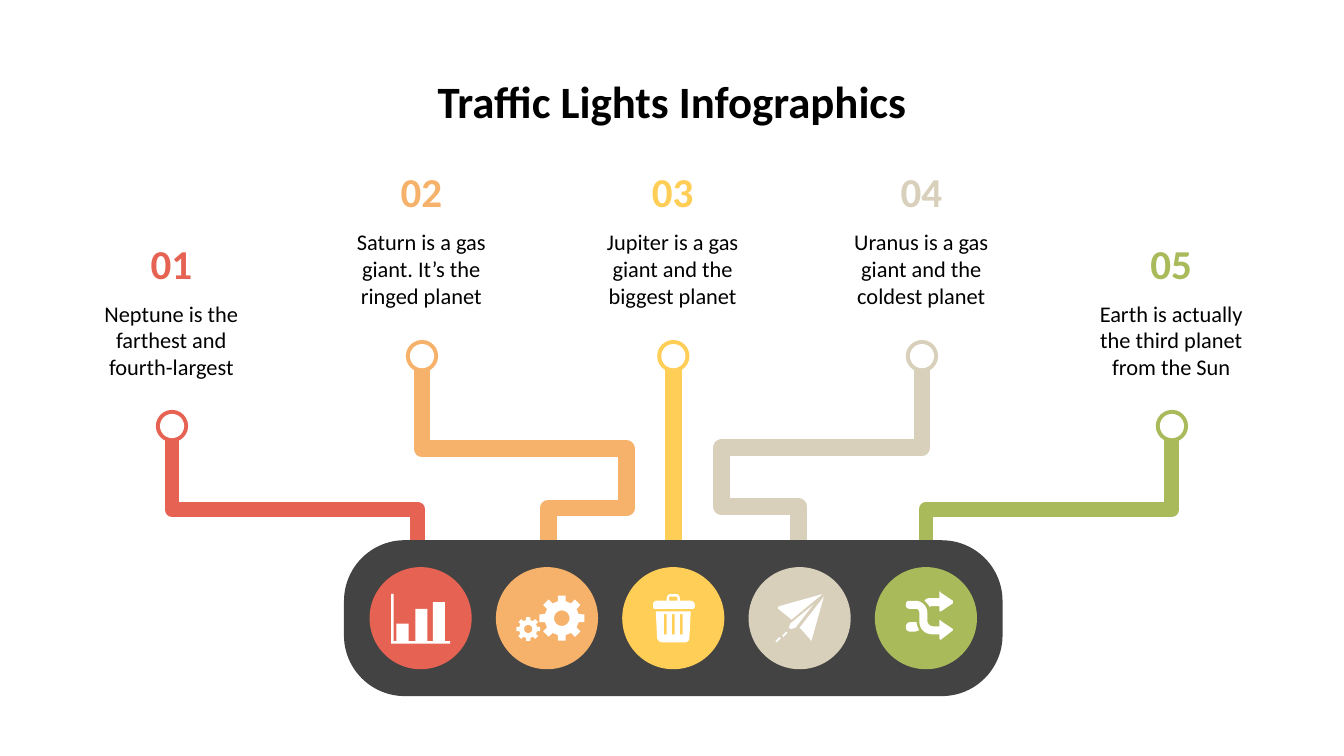
from dataclasses import dataclass
from math import cos, pi, sin

from lxml.etree import SubElement
from pptx import Presentation
from pptx.dml.color import RGBColor
from pptx.enum.shapes import MSO_CONNECTOR, MSO_SHAPE
from pptx.enum.text import MSO_ANCHOR, PP_ALIGN
from pptx.oxml.ns import qn
from pptx.util import Emu, Pt

PX = 9144  # one px is a hundredth of an inch
FONT = "Calibri"
COLORS = {
    "red": "E66353", "orange": "F6B26B", "yellow": "FFCE56", "sand": "D8D0BB",
    "green": "A9BA5A", "panel": "434343", "white": "FFFFFF", "black": "000000",
}

# A contour holds points (x, y) and cubic curves (x1, y1, x2, y2, x, y).
Contour = list[tuple[float, ...]]


@dataclass(frozen=True)
class Signal:
    number: str
    body: str
    color: str
    x: int
    number_top: int
    ring_y: int
    bends: tuple[tuple[int, int], ...]  # empty for a straight pipe
    pipe_pt: int = 9


SIGNALS = [
    Signal("01", "Neptune is the farthest and fourth-largest", "red", 128, 178, 317,
           ((128, 379), (311, 379), (311, 422)), 8),
    Signal("02", "Saturn is a gas giant. It’s the ringed planet", "orange", 314, 125, 265,
           ((314, 334), (466, 334), (466, 378), (408, 378), (408, 410))),
    Signal("03", "Jupiter is a gas giant and the biggest planet", "yellow", 501, 125, 265, ()),
    Signal("04", "Uranus is a gas giant and the coldest planet", "sand", 686, 125, 265,
           ((686, 333), (537, 333), (537, 377), (594, 377), (594, 410))),
    Signal("05", "Earth is actually the third planet from the Sun", "green", 872, 178, 317,
           ((872, 379), (689, 379), (689, 422)), 8),
]


def px(length: float) -> Emu:
    return Emu(round(length * PX))


def rgb(color: str) -> RGBColor:
    return RGBColor.from_string(COLORS[color])


def paint(shape, color: str) -> None:
    shape.shadow.inherit = False
    shape.fill.solid()
    shape.fill.fore_color.rgb = rgb(color)
    shape.line.fill.background()


def add_preset(kind: MSO_SHAPE, x: int, y: int, w: int, h: int, color: str):
    shape = slide.shapes.add_shape(kind, px(x), px(y), px(w), px(h))
    paint(shape, color)
    return shape


def add_disc(x: int, y: int, radius: int, color: str) -> None:
    add_preset(MSO_SHAPE.OVAL, x - radius, y - radius, 2 * radius, 2 * radius, color)


def add_text(text: str, x: int, y: int, w: int, h: int, size: int, color: str,
             bold: bool = False, anchor: MSO_ANCHOR = MSO_ANCHOR.TOP) -> None:
    frame = slide.shapes.add_textbox(px(x), px(y), px(w), px(h)).text_frame
    frame.word_wrap = True
    frame.vertical_anchor = anchor
    frame.margin_left = frame.margin_right = frame.margin_top = frame.margin_bottom = px(10)
    paragraph = frame.paragraphs[0]
    paragraph.text = text
    paragraph.alignment = PP_ALIGN.CENTER
    font = paragraph.font
    font.name, font.size, font.bold = FONT, Pt(size), bold
    font.color.rgb = rgb(color)


def flatten(contour: Contour, steps: int = 8) -> list[tuple[Emu, Emu]]:
    """Turn the curves of a contour into short straight steps."""
    points: Contour = []
    for part in contour:
        if len(part) == 2:
            points.append(part)
            continue
        x0, y0 = points[-1]
        x1, y1, x2, y2, x3, y3 = part
        for step in range(1, steps + 1):
            t = step / steps
            a, b, c, d = (1 - t) ** 3, 3 * t * (1 - t) ** 2, 3 * t * t * (1 - t), t ** 3
            points.append((a * x0 + b * x1 + c * x2 + d * x3,
                           a * y0 + b * y1 + c * y2 + d * y3))
    return [(px(x), px(y)) for x, y in points]


def add_outline(*contours: Contour, closed: bool = True):
    first, *others = [flatten(contour) for contour in contours]
    builder = slide.shapes.build_freeform(*first[0], scale=1.0)
    builder.add_line_segments(first[1:], close=closed)
    for points in others:
        builder.move_to(*points[0])
        builder.add_line_segments(points[1:], close=closed)
    shape = builder.convert_to_shape()
    paint(shape, "white")
    return shape


def add_bent_pipe(signal: Signal) -> None:
    pipe = add_outline([(signal.x, signal.ring_y), *signal.bends], closed=False)
    pipe.fill.background()
    pipe.line.color.rgb = rgb(signal.color)
    pipe.line.width = Pt(signal.pipe_pt)
    SubElement(pipe.line._get_or_add_ln(), qn("a:round"))


def add_straight_pipe(signal: Signal, target) -> None:
    pipe = slide.shapes.add_connector(MSO_CONNECTOR.STRAIGHT, px(signal.x), px(signal.ring_y),
                                      px(signal.x), target.top)
    pipe.end_connect(target, 0)
    pipe.line.color.rgb = rgb(signal.color)
    pipe.line.width = Pt(signal.pipe_pt)
    SubElement(pipe._element.spPr, qn("a:effectLst"))


def add_gear(x: int, y: int, radius: int, teeth: int = 8) -> None:
    def at(reach: float, angle: float) -> tuple[float, float]:
        return x + radius * reach * cos(angle), y + radius * reach * sin(angle)

    profile = ((0.76, -0.23), (1, -0.17), (1, 0.17), (0.76, 0.23))
    rim = [at(reach, 2 * pi * tooth / teeth + turn)
           for tooth in range(teeth) for reach, turn in profile]
    hole = [at(0.34, -2 * pi * step / 24) for step in range(24)]
    add_outline(rim, hole)


def box(x: int, y: int, w: int, h: int) -> Contour:
    return [(x, y), (x, y + h), (x + w, y + h), (x + w, y)]


presentation = Presentation()
presentation.slide_width = px(1000)
presentation.slide_height = presentation.slide_width * 9 // 16
slide = presentation.slides.add_slide(presentation.slide_layouts[6])

# Pipes and the traffic light panel
for signal in SIGNALS:
    if signal.bends:
        add_bent_pipe(signal)
panel = add_preset(MSO_SHAPE.ROUNDED_RECTANGLE, 256, 402, 490, 116, "panel")
panel.adjustments[0] = 0.39
for signal in SIGNALS:
    if not signal.bends:
        add_straight_pipe(signal, panel)

# Lamps, rings and captions
add_text("Traffic Lights Infographics", 50, 45, 900, 44, 24, "black", bold=True)
for index, signal in enumerate(SIGNALS):
    add_disc(313 + 94 * index, 460, 38, signal.color)
    add_disc(signal.x, signal.ring_y, 12, signal.color)
    add_disc(signal.x, signal.ring_y, 9, "white")
    add_text(signal.number, signal.x - 36, signal.number_top, 71, 35, 22, signal.color,
             bold=True, anchor=MSO_ANCHOR.MIDDLE)
    add_text(signal.body, signal.x - 76, signal.number_top + 35, 151, 80, 12, "black")

# Bar chart icon
for bar_x, bar_top in ((295, 464), (309, 453), (322, 448)):
    add_preset(MSO_SHAPE.RECTANGLE, bar_x, bar_top, 9, 478 - bar_top, "white")
add_outline([(291, 442), (293, 442), (293, 477), (335, 477), (335, 479), (291, 479)])

# Gears icon
add_gear(418, 460, 17)
add_gear(393, 468, 9)

# Bin icon
add_outline([(488, 455), (489, 475), (490, 477, 491, 478, 493, 478), (510, 478),
             (511, 478, 513, 477, 513, 475), (514, 455)],
            *[box(slot_x, 457, 2, 15) for slot_x in (494, 500, 506)])
add_outline([(499, 442), (497, 442, 496, 444, 496, 446), (496, 447), (489, 447),
             (487, 447, 486, 448, 486, 450), (486, 452), (486, 452, 486, 453, 487, 453),
             (516, 453), (516, 453, 517, 452, 517, 452), (517, 450),
             (517, 448, 515, 447, 514, 447), (506, 447), (506, 446),
             (506, 444, 505, 442, 503, 442)], box(498, 444, 6, 3))

# Paper plane icon
for dash_x, dash_y in ((577, 474), (582, 470)):
    add_outline([(dash_x + 3, dash_y), (dash_x, dash_y + 3), (dash_x + 1, dash_y + 4),
                 (dash_x + 4, dash_y + 1)])
add_outline([(612, 442), (580, 451), (579, 451, 579, 452, 579, 453), (589, 461)])
add_outline([(613, 444), (595, 467), (603, 476), (603, 477, 604, 477, 604, 476)])
add_outline([(605, 450), (588, 464), (587, 467), (587, 467, 588, 468, 589, 468), (592, 467)])

# Crossing arrows icon
add_outline([(677, 447), (675, 447, 674, 448, 674, 450), (674, 452, 675, 453, 677, 453),
             (681, 453), (683, 453, 684, 454, 684, 456), (684, 462),
             (684, 468, 688, 472, 694, 472), (699, 472), (699, 475),
             (699, 475, 699, 476, 700, 476), (709, 469), (709, 469, 709, 468, 709, 468),
             (700, 462), (700, 461, 699, 461, 699, 462), (699, 466), (694, 466),
             (692, 466, 690, 464, 690, 462), (690, 456), (690, 451, 686, 447, 681, 447)])
add_outline([(682, 463), (677, 463), (675, 463, 674, 465, 674, 467),
             (674, 468, 675, 470, 677, 470), (681, 470), (682, 470, 683, 469, 684, 469),
             (683, 467, 682, 465, 682, 463)])
add_outline([(700, 440), (699, 440, 699, 441, 699, 441), (699, 445), (694, 445),
             (691, 445, 689, 445, 688, 447), (689, 448, 691, 450, 692, 452),
             (692, 451, 693, 451, 694, 451), (699, 451), (699, 454),
             (699, 455, 699, 455, 700, 455), (709, 449), (709, 448, 709, 447, 709, 447),
             (700, 441)])

presentation.save("out.pptx")
